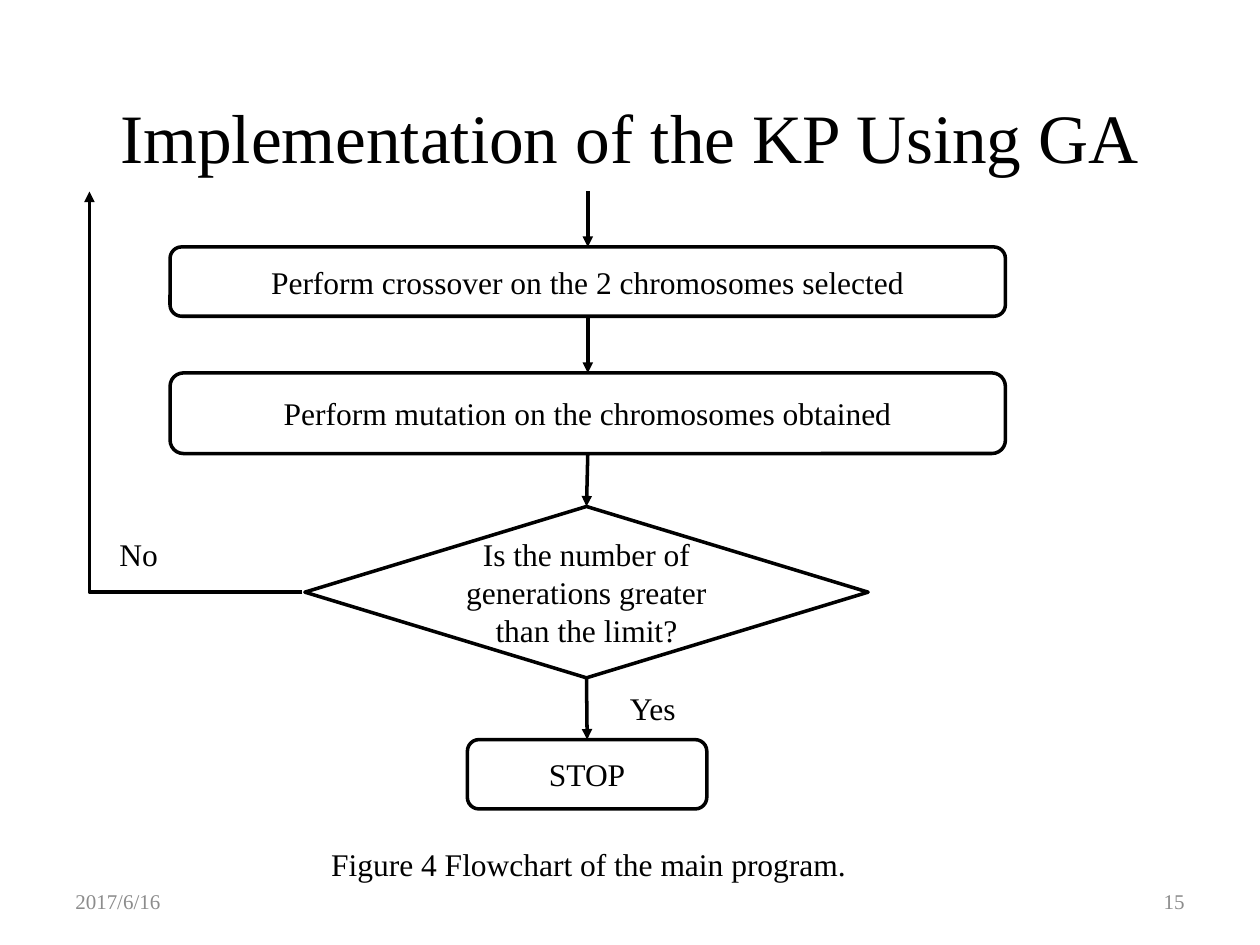
"""Build the flowchart slide of the genetic algorithm main program."""
from lxml import etree
from pptx import Presentation
from pptx.dml.color import RGBColor
from pptx.enum.shapes import MSO_CONNECTOR, MSO_SHAPE
from pptx.enum.text import MSO_ANCHOR, MSO_AUTO_SIZE, PP_ALIGN
from pptx.oxml.ns import qn
from pptx.util import Pt

PX = 9144
FONT = "Times New Roman"
COLORS = {"ink": "000000", "paper": "FFFFFF", "muted": "8C8C8C"}
ROUND, DIAMOND = MSO_SHAPE.ROUNDED_RECTANGLE, MSO_SHAPE.DIAMOND
STRAIGHT, ELBOW = MSO_CONNECTOR.STRAIGHT, MSO_CONNECTOR.ELBOW
LEFT, CENTER, RIGHT = PP_ALIGN.LEFT, PP_ALIGN.CENTER, PP_ALIGN.RIGHT
TOP, MIDDLE = MSO_ANCHOR.TOP, MSO_ANCHOR.MIDDLE
TOP_SIDE, BOTTOM_SIDE = 0, 2


def write(sp, text, size=18, color="ink", align=LEFT, anchor=TOP, wrap=True):
    tf = sp.text_frame
    frame = {"word_wrap": wrap, "auto_size": MSO_AUTO_SIZE.NONE, "vertical_anchor": anchor}
    for name, value in frame.items():
        setattr(tf, name, value)
    p = tf.paragraphs[0]
    p.alignment = align
    r = p.add_run()
    r.text = text
    for name, value in {"name": FONT, "size": Pt(size)}.items():
        setattr(r.font, name, value)
    r.font.color.rgb = RGBColor.from_string(COLORS[color])


def arrow(kind, x1, y1, x2, y2):
    c = s.shapes.add_connector(kind, *[v * PX for v in (x1, y1, x2, y2)])
    c.line.width = Pt(2)
    c.line.color.rgb = RGBColor.from_string(COLORS["ink"])
    etree.SubElement(c.line._get_or_add_ln(), qn("a:tailEnd"), type="triangle")
    etree.SubElement(c._element.spPr, qn("a:effectLst"))
    return c


prs = Presentation()
prs.slide_width, prs.slide_height = 1000 * PX, 750 * PX
s = prs.slides.add_slide(prs.slide_layouts[5])

title = s.shapes.title
for name, value in {"left": 50, "top": 45, "width": 900, "height": 125}.items():
    setattr(title, name, value * PX)
write(title, "Implementation of the KP Using GA", 39.6, align=CENTER, anchor=MIDDLE)

steps = []
for kind, text, x, y, w, h in [
    (ROUND, "Perform crossover on the 2 chromosomes selected", 135, 196, 663, 55),
    (ROUND, "Perform mutation on the chromosomes obtained", 135, 296, 663, 64),
    (DIAMOND, "Is the number of generations greater than the limit?", 242, 402, 447, 136),
    (ROUND, "STOP", 371, 587, 190, 55),
]:
    sp = s.shapes.add_shape(kind, x * PX, y * PX, w * PX, h * PX)
    sp.shadow.inherit = False
    sp.fill.solid()
    sp.fill.fore_color.rgb = RGBColor.from_string(COLORS["paper"])
    sp.line.color.rgb = RGBColor.from_string(COLORS["ink"])
    sp.line.width = Pt(2)
    write(sp, text, align=CENTER, anchor=MIDDLE)
    steps.append(sp)

entry = arrow(STRAIGHT, 466, 152, 466, 196)
entry.end_connect(steps[0], TOP_SIDE)
entry.begin_x = entry.end_x
for upper, lower in zip(steps, steps[1:]):
    c = arrow(STRAIGHT, 466, 152, 466, 196)
    c.begin_connect(upper, BOTTOM_SIDE)
    c.end_connect(lower, TOP_SIDE)

loop = arrow(ELBOW, 71, 152, 240, 470)
loop.rotation = 180
loop._element.spPr.find(qn("a:prstGeom")).set("prst", "bentConnector2")
loop._element.spPr.find(qn("a:xfrm")).set("rot", str(180 * 60000))

muted = {"size": 12, "color": "muted", "anchor": MIDDLE}
for text, x, y, w, style in [
    ("Yes", 490, 542, 70, {}),
    ("No", 85, 420, 70, {}),
    ("Figure 4 Flowchart of the main program.", 253, 666, 433, {"wrap": False}),
    ("2017/6/16", 50, 695, 233, muted),
    ("15", 717, 695, 233, {**muted, "align": RIGHT}),
]:
    write(s.shapes.add_textbox(x * PX, y * PX, w * PX, 40 * PX), text, **style)

prs.save("out.pptx")
